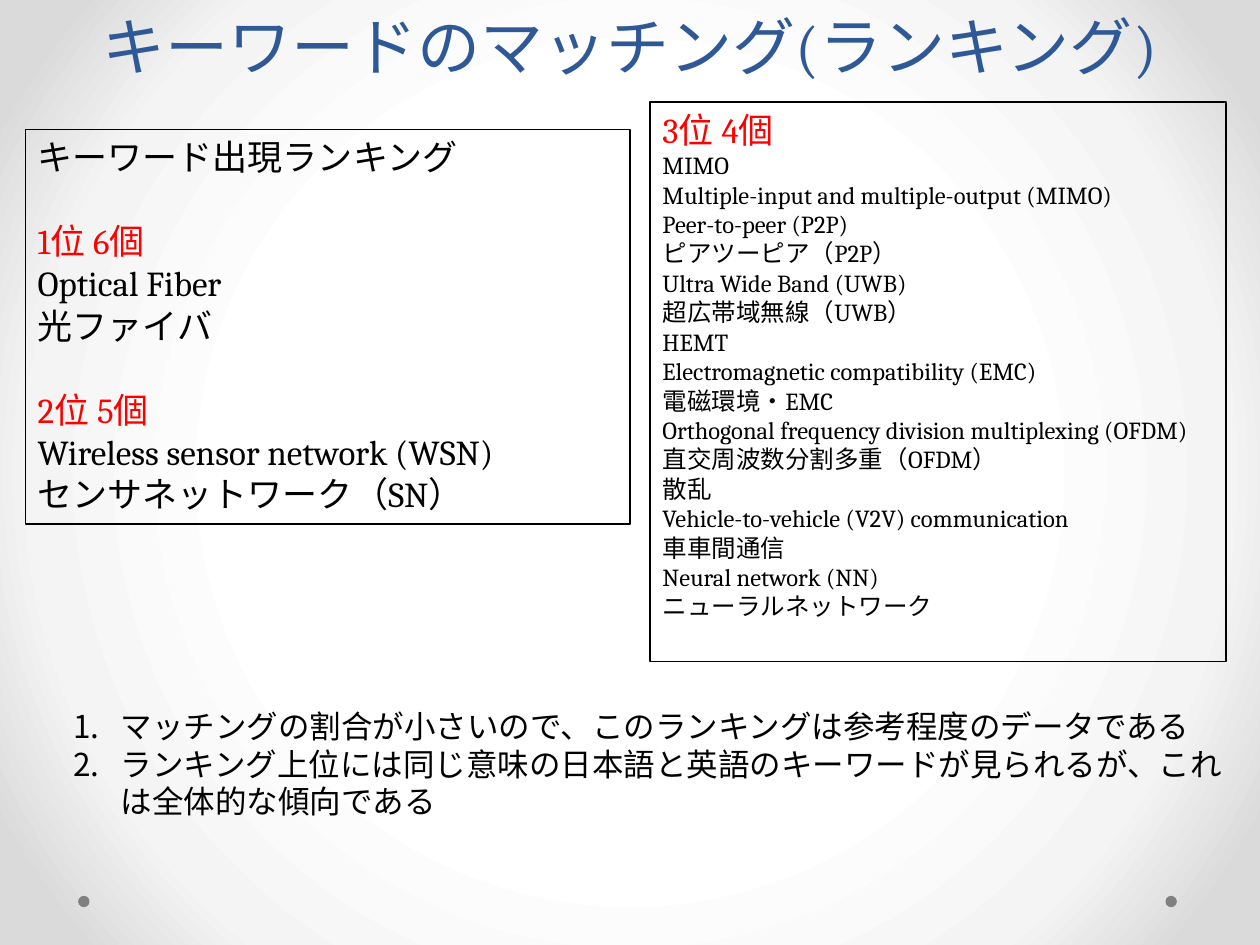
import pptx
import pptx.util
import pptx.dml.color
import pptx.enum.shapes
import pptx.enum.text
import pptx.oxml
import pptx.oxml.ns
from pptx.util import Inches

BLACK, RED, BLUE, GRAY = "000000", "FF0000", "2F5897", "808080"
ANCHOR = pptx.enum.text.MSO_ANCHOR
ALIGN = pptx.enum.text.PP_ALIGN
SHAPE = pptx.enum.shapes.MSO_SHAPE


def color(value):
    """Turn a hex string into a colour."""
    return pptx.dml.color.RGBColor.from_string(value)


def write(paragraph, text, size=20, fill=BLACK, font="Cambria", align=ALIGN.LEFT,
          before=0, spacing=None, numbered=False):
    """Put formatted text into a paragraph."""
    run = paragraph.add_run()
    run.text = text
    run.font.name = font
    run.font.size = pptx.util.Pt(size)
    run.font.color.rgb = color(fill)
    paragraph.alignment = align
    paragraph.space_before = pptx.util.Pt(before)
    paragraph.space_after = pptx.util.Pt(0)
    if spacing:
        paragraph.line_spacing = pptx.util.Pt(spacing)
    if numbered:
        properties = paragraph._p.get_or_add_pPr()
        properties.set("marL", str(Inches(0.38)))
        properties.set("indent", str(Inches(-0.38)))
        for tag, name, value in (("buFont", "typeface", "+mj-lt"),
                                 ("buAutoNum", "type", "arabicPeriod")):
            bullet = pptx.oxml.parse_xml(f'<a:{tag} {pptx.oxml.ns.nsdecls("a")} {name}="{value}"/>')
            properties.append(bullet)


class SlideBuilder:
    """Holds the style and the current slide."""

    def __init__(self, presentation):
        """Add a slide with title and body."""
        self.slide = presentation.slides.add_slide(presentation.slide_layouts[1])
        self.line_width = pptx.util.Pt(0.75)

    def background(self, stops):
        """Fill the background with a circular gradient."""
        self.slide.background.fill.solid()
        solid = self.slide._element.find(".//" + pptx.oxml.ns.qn("a:solidFill"))
        stop_xml = "".join(
            f'<a:gs pos="{position * 1000}"><a:srgbClr val="{value}"/></a:gs>'
            for position, value in stops)
        gradient = pptx.oxml.parse_xml(
            f'<a:gradFill {pptx.oxml.ns.nsdecls("a")} rotWithShape="1"><a:gsLst>{stop_xml}</a:gsLst>'
            '<a:path path="circle"><a:fillToRect l="50000" t="50000" r="50000" b="50000"/>'
            '</a:path></a:gradFill>')
        solid.getparent().replace(solid, gradient)

    def fill_text(self, shape, lines, anchor=ANCHOR.TOP, **style):
        """Write lines, each a text with its own format, into a shape."""
        frame = shape.text_frame
        frame.word_wrap = True
        frame.auto_size = pptx.enum.text.MSO_AUTO_SIZE.NONE
        frame.vertical_anchor = anchor
        for index, (text, own_style) in enumerate(lines):
            paragraph = frame.add_paragraph() if index else frame.paragraphs[0]
            write(paragraph, text, **{**style, **own_style})

    def placeholder(self, index, left, top, width, height, lines, **style):
        """Move a placeholder and fill it with text."""
        shape = self.slide.placeholders[index]
        shape.left, shape.top = Inches(left), Inches(top)
        shape.width, shape.height = Inches(width), Inches(height)
        self.fill_text(shape, lines, **style)

    def box(self, left, top, width, height, lines, **style):
        """Add an outlined text box."""
        shape = self.slide.shapes.add_textbox(
            Inches(left), Inches(top), Inches(width), Inches(height))
        shape.line.color.rgb = color(BLACK)
        shape.line.width = self.line_width
        self.fill_text(shape, lines, **style)

    def dot(self, left, top, size):
        """Add a small gray dot."""
        shape = self.slide.shapes.add_shape(
            SHAPE.OVAL, Inches(left), Inches(top), Inches(size), Inches(size))
        shape.shadow.inherit = False
        shape.fill.solid()
        shape.fill.fore_color.rgb = color(GRAY)
        shape.line.fill.background()


def plain(*texts):
    """Pair each text with no format of its own."""
    return [(text, {}) for text in texts]


presentation = pptx.Presentation()
presentation.slide_width, presentation.slide_height = Inches(10), Inches(7.5)
builder = SlideBuilder(presentation)
builder.background([(50, "FFFFFF"), (76, "F4F4F4"), (92, "DADADA")])
for dot_left in (9.25, 0.62):
    builder.dot(dot_left, 7.11, 0.09)

builder.placeholder(0, 0.5, 0.02, 9, 0.69, plain("キーワードのマッチング(ランキング)"),
                    anchor=ANCHOR.BOTTOM, size=36, fill=BLUE, align=ALIGN.CENTER, spacing=58)

rank_heading = {"fill": RED, "before": 24}
builder.box(0.2, 1.03, 4.8, 3.13, [
    ("キーワード出現ランキング", {}),
    ("1位 6個", rank_heading),
    *plain("Optical Fiber", "光ファイバ"),
    ("2位 5個", rank_heading),
    *plain("Wireless sensor network (WSN)", "センサネットワーク（SN）"),
])

builder.box(5.16, 0.81, 4.57, 4.44, [
    ("3位 4個", {"size": 20, "fill": RED}),
    *plain(
        "MIMO",
        "Multiple-input and multiple-output (MIMO)",
        "Peer-to-peer (P2P)",
        "ピアツーピア（P2P）",
        "Ultra Wide Band (UWB)",
        "超広帯域無線（UWB）",
        "HEMT",
        "Electromagnetic compatibility (EMC)",
        "電磁環境・EMC",
        "Orthogonal frequency division multiplexing (OFDM)",
        "直交周波数分割多重（OFDM）",
        "散乱",
        "Vehicle-to-vehicle (V2V) communication",
        "車車間通信",
        "Neural network (NN)",
        "ニューラルネットワーク"),
], size=14)

builder.placeholder(1, 0.48, 5.56, 9.4, 1.01, plain(
    "マッチングの割合が小さいので、このランキングは参考程度のデータである",
    "ランキング上位には同じ意味の日本語と英語のキーワードが見られるが、これは全体的な傾向である",
), size=18, numbered=True)

presentation.save("out.pptx")
